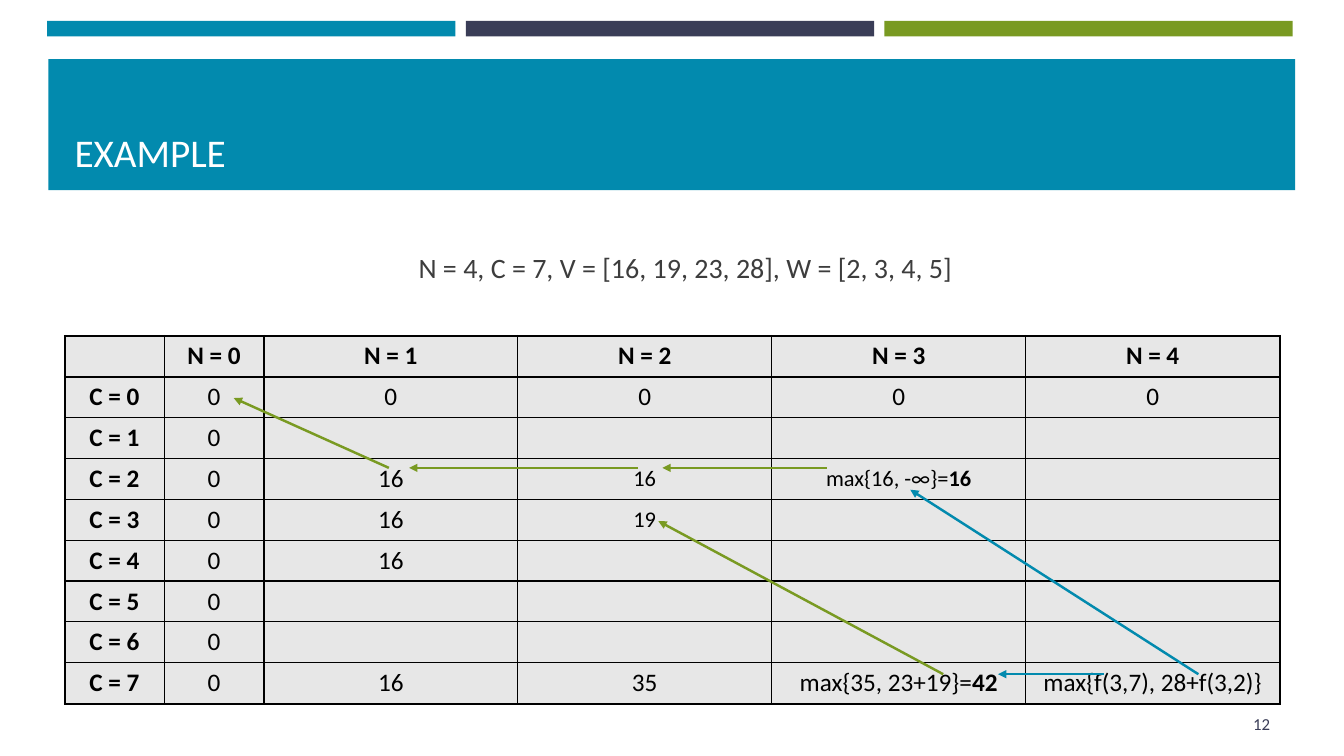
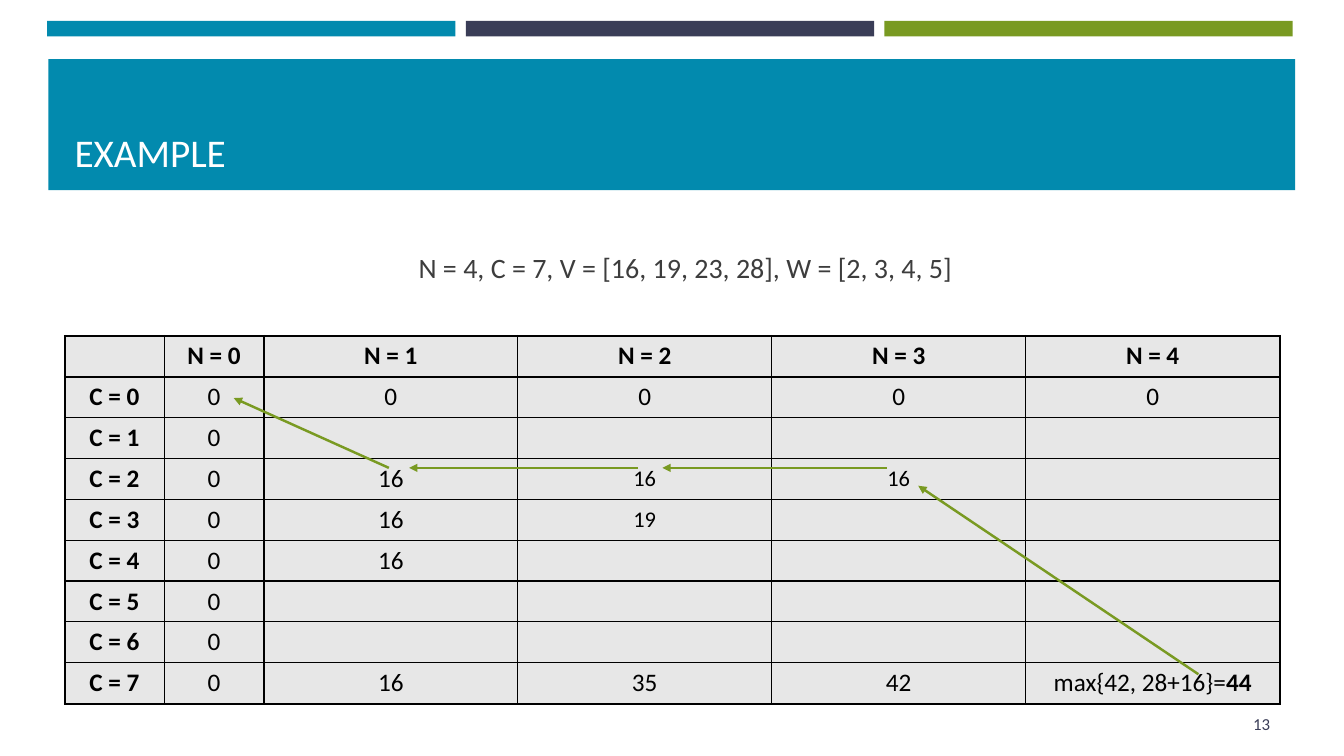
from lxml import etree
from pptx import Presentation
from pptx import util as u
from pptx.dml.color import RGBColor
from pptx.enum import shapes, text
from pptx.oxml.ns import qn

Cm, Pt = u.Cm, u.Pt


class Theme:
    font = "Calibri"
    teal = RGBColor.from_string("028AAE")
    navy = RGBColor.from_string("3A3D57")
    green = RGBColor.from_string("799A22")
    grey = RGBColor.from_string("3D3D3D")
    cell = RGBColor.from_string("E7E7E7")
    white = RGBColor.from_string("FFFFFF")
    black = RGBColor.from_string("000000")
    head, lead, body, small, foot = 28, 20, 18, 16, 12
    thick, thin, arrow = 1.5, 1, 1.75


def style(para, size, color, align, bold=False):
    para.alignment = align
    font = para.font
    font.name, font.size, font.bold = Theme.font, Pt(size), bold
    font.color.rgb = color


def label(slide, box, words, size, color, align, anchor):
    frame = slide.shapes.add_textbox(*map(Cm, box)).text_frame
    frame.word_wrap = True
    frame.vertical_anchor = anchor
    frame.text = words
    style(frame.paragraphs[0], size, color, align)


left, mid, right = text.PP_ALIGN.LEFT, text.PP_ALIGN.CENTER, text.PP_ALIGN.RIGHT
low, centre = text.MSO_ANCHOR.BOTTOM, text.MSO_ANCHOR.MIDDLE

# Bars and title band shared by the slides
bars = [(1.19 + 10.55 * i, 0.53, 10.29, 0.39, color)
        for i, color in enumerate((Theme.teal, Theme.navy, Theme.green))]
bars.append((1.22, 1.49, 31.42, 3.3, Theme.teal))

# Values by row C and column N; "|" starts the bold part
grid = [[""] + [f"N = {n}" for n in range(5)]]
grid += [[f"C = {c}", "0", "", "", "", ""] for c in range(8)]
grid[1][2:] = ["0"] * 4
grid[3][2:4] = ["16", "16"]
grid[4][2:4] = ["16", "19"]
grid[5][2] = "16"
grid[8][2:4] = ["16", "35"]
small = {(3, 3), (3, 4), (4, 3)}
widths = [2.51] * 2 + [6.4] * 4
rows, cols = len(grid), len(widths)

# Arrows: start x, start y, end x, end y, colour
trace = [(9.8, 11.79, 5.89, 10.03, Theme.green),
         (16.08, 11.79, 10.31, 11.79, Theme.green)]

# What differs: page number, cells, arrows
pages = [
    ("12",
     {(3, 4): "max{16, -∞}=|16", (8, 4): "max{35, 23+19}=|42",
      (8, 5): "max{f(3,7), 28+f(3,2)}"},
     [(27.81, 16.99, 25.15, 16.99, Theme.teal),
      (20.83, 11.79, 16.69, 11.79, Theme.green),
      (23.77, 16.99, 16.59, 13.13, Theme.green),
      (30.2, 16.99, 22.94, 12.34, Theme.teal)]),
    ("13",
     {(3, 4): "16", (8, 4): "42", (8, 5): "max{42, 28+16}=|44"},
     [(30.2, 16.99, 23.14, 12.24, Theme.green),
      (22.35, 11.79, 16.69, 11.79, Theme.green)]),
]

deck = Presentation()
deck.slide_width, deck.slide_height = Cm(33.87), Cm(19.05)

for page, cells, arrows in pages:
    slide = deck.slides.add_slide(deck.slide_layouts[6])

    # Bars, title, given values and page number
    for *box, color in bars:
        bar = slide.shapes.add_shape(shapes.MSO_SHAPE.RECTANGLE, *map(Cm, box))
        bar.shadow.inherit = False
        bar.fill.solid()
        bar.fill.fore_color.rgb = color
        bar.line.fill.background()
    label(slide, (1.63, 1.78, 30.63, 2.77), "EXAMPLE",
          Theme.head, Theme.white, left, low)
    label(slide, (2.51, 5.35, 29.54, 2.77),
          "N = 4, C = 7, V = [16, 19, 23, 28], W = [2, 3, 4, 5]",
          Theme.lead, Theme.grey, mid, centre)
    label(slide, (29.34, 17.73, 2.92, 1.02), page,
          Theme.foot, Theme.navy, right, centre)

    # Table
    table = slide.shapes.add_table(rows, cols, Cm(1.63), Cm(8.46),
                                   Cm(sum(widths)), Cm(1.03 * rows)).table
    table.first_row = table.horz_banding = False
    for col, width in zip(table.columns, widths):
        col.width = Cm(width)
    for r, line in enumerate(grid):
        table.rows[r].height = Cm(1.03)
        for c, base in enumerate(line):
            cell = table.cell(r, c)
            cell.vertical_anchor = centre
            para = cell.text_frame.paragraphs[0]
            size = Theme.small if (r, c) in small else Theme.body
            style(para, size, Theme.black, mid, r == 0 or c == 0)
            plain, _, strong = cells.get((r, c), base).partition("|")
            if plain:
                para.add_run().text = plain
            if strong:
                run = para.add_run()
                run.text = strong
                run.font.bold = True

            # Borders: heavy on the frame, below the header and after N = 0
            heavy = {"lnL": c in (0, 2), "lnR": c in (1, cols - 1),
                     "lnT": r in (0, 1), "lnB": r in (0, rows - 1)}
            props = cell._tc.get_or_add_tcPr()
            for side, bold in heavy.items():
                width = Pt(Theme.thick if bold else Theme.thin)
                edge = etree.SubElement(props, qn(f"a:{side}"), w=str(width))
                fill = etree.SubElement(edge, qn("a:solidFill"))
                etree.SubElement(fill, qn("a:srgbClr"), val=str(Theme.black))
            cell.fill.solid()
            cell.fill.fore_color.rgb = Theme.cell

    # Arrows over the table
    for *ends, color in arrows + trace:
        arrow = slide.shapes.add_connector(shapes.MSO_CONNECTOR.STRAIGHT,
                                           *map(Cm, ends))
        arrow.line.color.rgb = color
        arrow.line.width = Pt(Theme.arrow)
        etree.SubElement(arrow.line._get_or_add_ln(), qn("a:tailEnd"),
                         type="triangle")
        etree.SubElement(arrow._element.spPr, qn("a:effectLst"))

deck.save("out.pptx")
